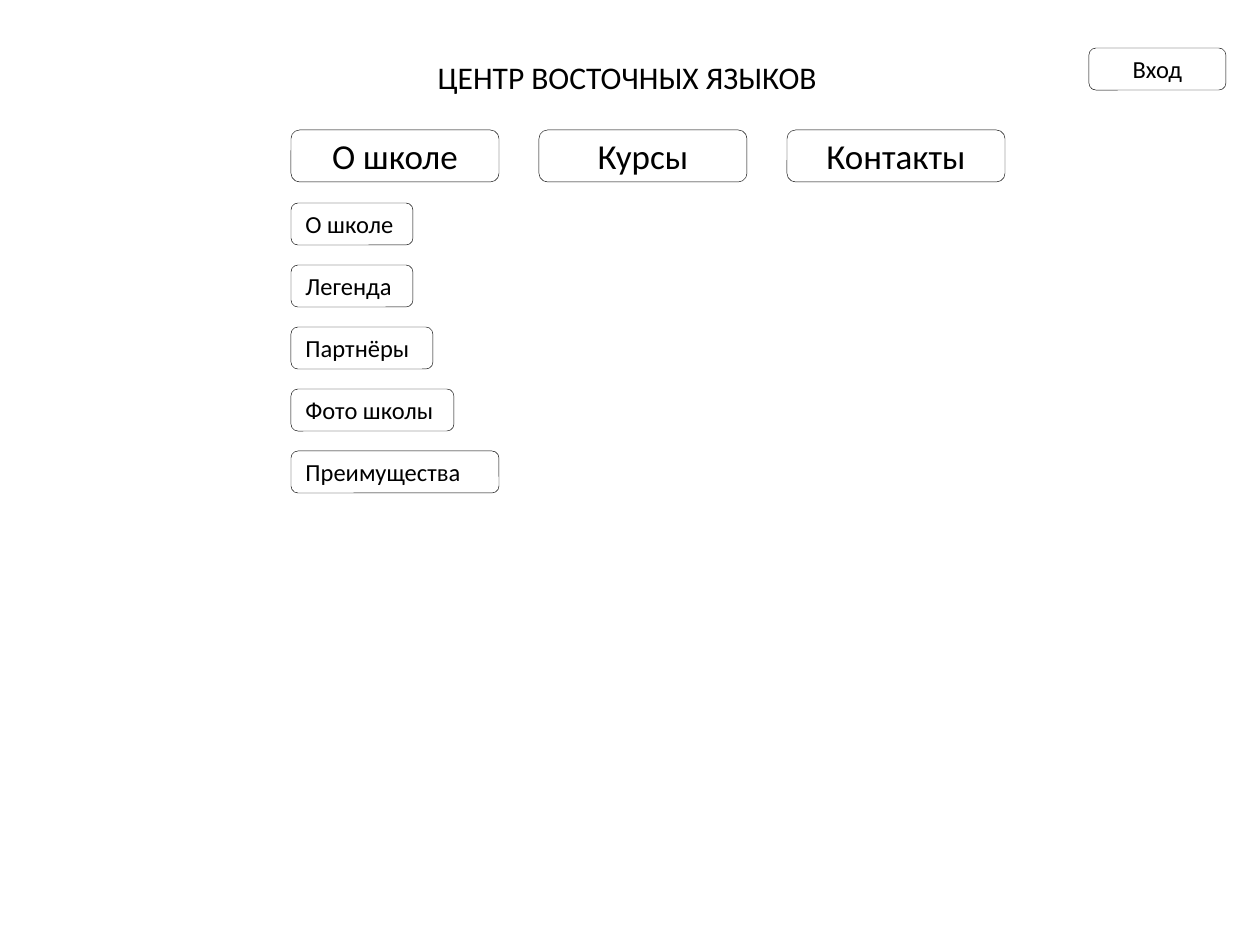
from dataclasses import dataclass

import pptx
import pptx.dml.color
import pptx.enum.shapes
import pptx.enum.text
import pptx.util
from pptx.slide import Slide
from pptx.text.text import TextFrame

PIXEL = pptx.util.Inches(1) // 126
BLACK = pptx.dml.color.RGBColor(0, 0, 0)
WHITE = pptx.dml.color.RGBColor(255, 255, 255)
FONT = "Calibri"
ALIGN = pptx.enum.text.PP_ALIGN
ANCHOR = pptx.enum.text.MSO_ANCHOR

MENU_LEFT = 291
TAB_TOP, TAB_WIDTH, TAB_HEIGHT, TAB_GAP = 130, 208, 52, 40
ITEM_TOP, ITEM_HEIGHT, ITEM_STEP = 203, 42, 62


@dataclass(frozen=True)
class Button:
    """A rounded menu button, measured in pixels."""

    label: str
    left: int
    top: int
    width: int
    height: int = ITEM_HEIGHT
    size: int = 14
    align: ALIGN = ALIGN.LEFT


def write(frame: TextFrame, text: str, size: int, align: ALIGN) -> None:
    """Put one formatted line of text into a frame."""
    frame.text = text
    line = frame.paragraphs[0]
    line.alignment = align
    font = line.runs[0].font
    font.name = FONT
    font.size = pptx.util.Pt(size)
    font.color.rgb = BLACK


def draw_button(slide: Slide, button: Button) -> None:
    """Draw one outlined button with its label."""
    bounds = (button.left, button.top, button.width, button.height)
    shape = slide.shapes.add_shape(
        pptx.enum.shapes.MSO_SHAPE.ROUNDED_RECTANGLE,
        *(value * PIXEL for value in bounds),
    )
    shape.shadow.inherit = False
    shape.fill.solid()
    shape.fill.fore_color.rgb = WHITE
    shape.line.color.rgb = BLACK
    shape.line.width = pptx.util.Pt(0.25)
    shape.text_frame.vertical_anchor = ANCHOR.MIDDLE
    write(shape.text_frame, button.label, button.size, button.align)


def draw_heading(slide: Slide, text: str) -> None:
    """Place the site name in the title placeholder."""
    heading = slide.shapes.title
    heading.left, heading.top = 425 * PIXEL, 52 * PIXEL
    heading.width, heading.height = 408 * PIXEL, 50 * PIXEL
    frame = heading.text_frame
    frame.word_wrap = False
    frame.auto_size = pptx.enum.text.MSO_AUTO_SIZE.SHAPE_TO_FIT_TEXT
    frame.vertical_anchor = ANCHOR.TOP
    write(frame, text, 18, ALIGN.LEFT)


def main() -> None:
    """Build the site menu slide."""
    deck = pptx.Presentation()
    deck.slide_width = pptx.util.Inches(10)
    deck.slide_height = pptx.util.Inches(7.5)
    slide = deck.slides.add_slide(deck.slide_layouts.get_by_name("Title Only"))

    tabs = [("О школе", TAB_WIDTH), ("Курсы", TAB_WIDTH), ("Контакты", 218)]
    sections = [
        ("О школе", 122),
        ("Легенда", 122),
        ("Партнёры", 142),
        ("Фото школы", 163),
        ("Преимущества", TAB_WIDTH),
    ]
    buttons = [
        Button(label, MENU_LEFT + column * (TAB_WIDTH + TAB_GAP), TAB_TOP,
               width, TAB_HEIGHT, 20, ALIGN.CENTER)
        for column, (label, width) in enumerate(tabs)
    ]
    buttons.append(Button("Вход", 1089, 48, 137, align=ALIGN.CENTER))
    buttons += [
        Button(label, MENU_LEFT, ITEM_TOP + row * ITEM_STEP, width)
        for row, (label, width) in enumerate(sections)
    ]

    draw_heading(slide, "ЦЕНТР ВОСТОЧНЫХ ЯЗЫКОВ")
    for button in buttons:
        draw_button(slide, button)
    deck.save("out.pptx")


main()
